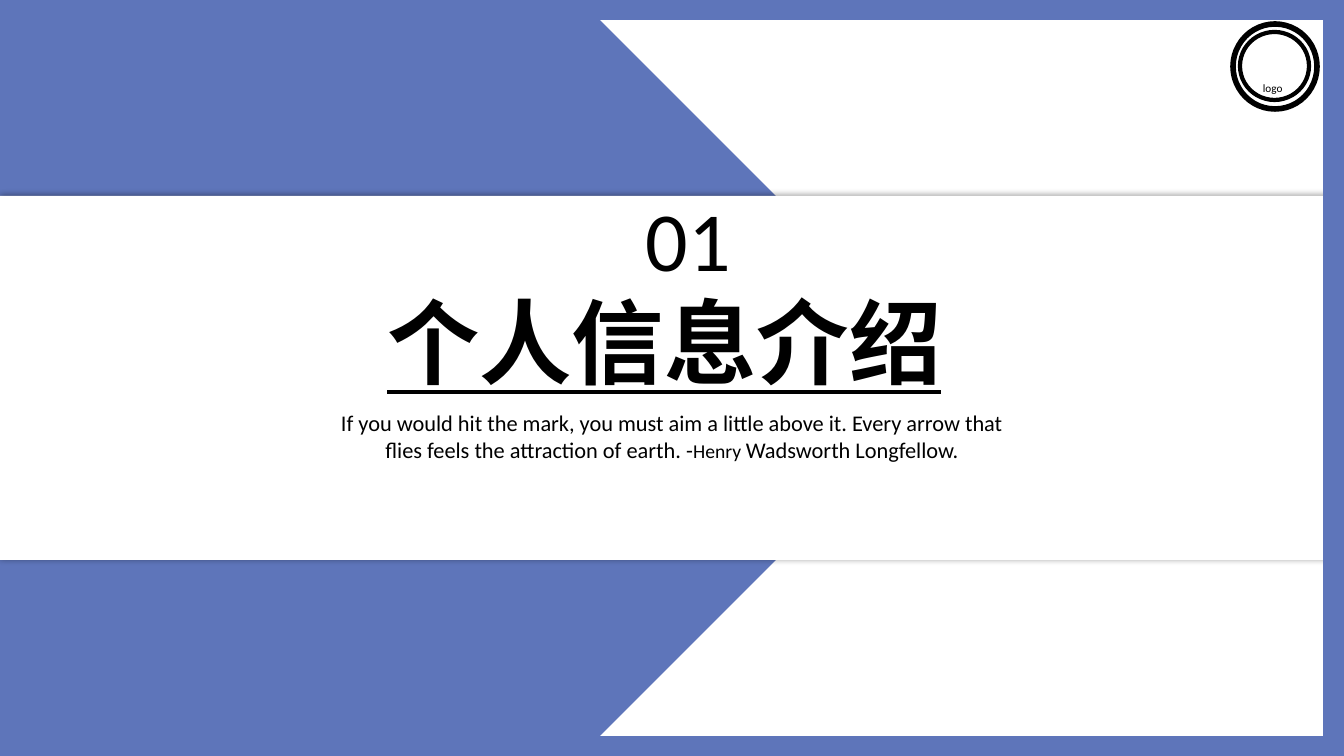
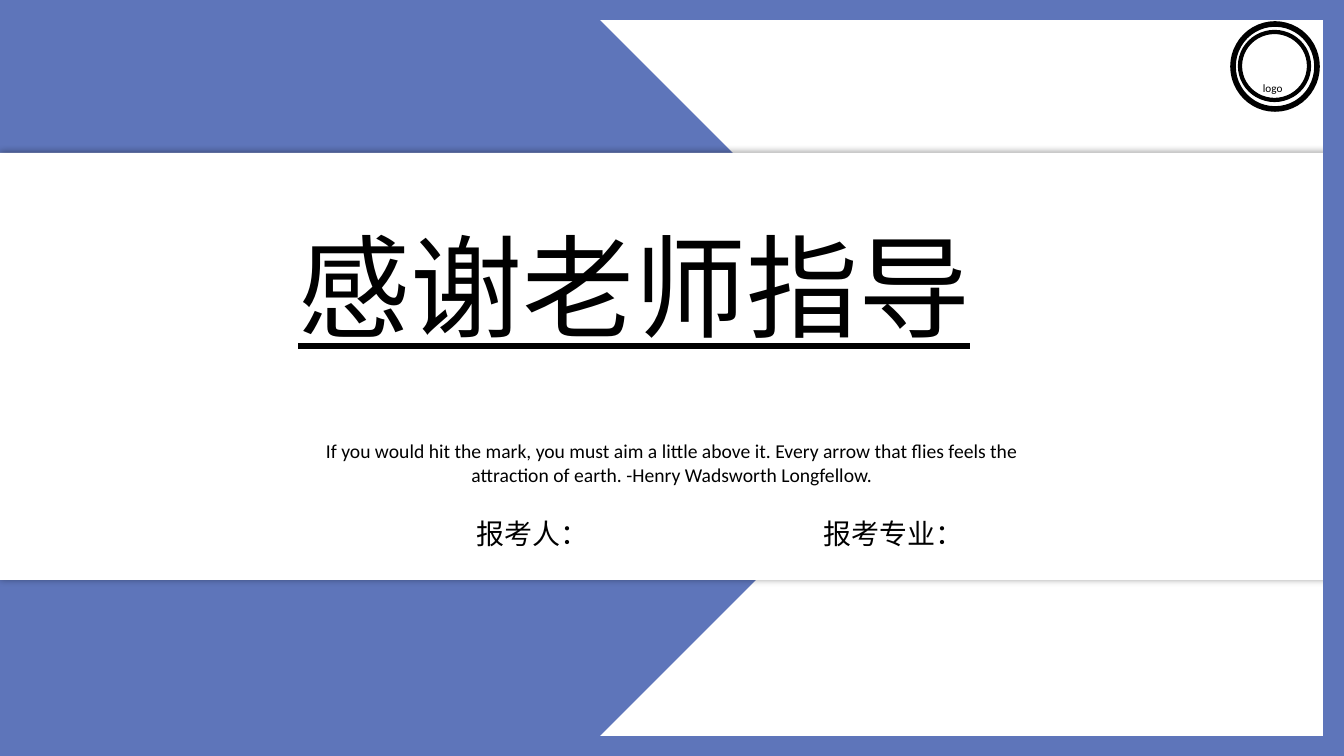
from dataclasses import dataclass

from lxml.etree import SubElement
from pptx import Presentation
from pptx.dml.color import RGBColor
from pptx.enum.shapes import MSO_CONNECTOR, MSO_SHAPE
from pptx.enum.text import MSO_ANCHOR as Anchor, MSO_AUTO_SIZE, PP_ALIGN as Align
from pptx.oxml import parse_xml
from pptx.oxml.ns import nsdecls, qn
from pptx.util import Emu, Pt


@dataclass(frozen=True)
class Theme:
    blue: RGBColor = RGBColor(0x5E, 0x75, 0xBA)
    white: RGBColor = RGBColor(0xFF, 0xFF, 0xFF)
    black: RGBColor = RGBColor(0x00, 0x00, 0x00)
    font: str = "Calibri"
    section_title: int = 66
    closing_title: int = 80
    number: int = 60
    label: int = 20
    quote: int = 16
    small_quote: int = 14
    logo: int = 8
    frame_line: int = 15


THEME = Theme()
WIDTH, HEIGHT = 1344, 756
SCALE = 12192000 / WIDTH  # EMU in one px

# Content: boxes are left, top, width, height in px
QUOTE = "If you would hit the mark, you must aim a little above it. Every arrow that flies feels the attraction of earth. -"
SLIDES = [
    {
        "band": (196, 364),
        "title": {"text": "个人信息介绍", "box": (377, 280, 591, 122), "size": THEME.section_title,
                  "bold": True, "anchor": Anchor.MIDDLE},
        "quote": {"box": (326, 404, 692, 65),
                  "runs": [(QUOTE, THEME.quote), ("Henry ", THEME.small_quote),
                           ("Wadsworth Longfellow.", THEME.quote)]},
        "labels": [("01", (622, 183, 133, 112), THEME.number, Align.CENTER)],
    },
    {
        "band": (153, 427),
        # The tab carries the underline on to its stop
        "title": {"text": "感谢老师指导\t", "box": (288, 212, 780, 146), "size": THEME.closing_title,
                  "bold": False, "anchor": Anchor.TOP, "tab_stop": 748},
        "quote": {"box": (303, 434, 738, 57),
                  "runs": [(QUOTE + "Henry Wadsworth Longfellow.", THEME.small_quote)]},
        "labels": [("报考人：", (371, 512, 228, 44), THEME.label, Align.RIGHT),
                   ("报考专业：", (716, 512, 258, 44), THEME.label, Align.RIGHT)],
    },
]

# Shared decoration
PLATE = (0, 0, 958, HEIGHT)
FRAME_LINES = [(341, 746, WIDTH, 746), (489, 10, WIDTH, 10), (1334, 746, 1334, 19)]
LOGO_RINGS = [((1233, 24, 84, 85), 4), ((1240, 32, 69, 68), 3)]
LOGO_TEXT = ("logo", (1253, 76, 46, 24), THEME.logo, Align.LEFT)


def px(value):
    return Emu(round(value * SCALE))


def place(shape, box):
    shape.left, shape.top, shape.width, shape.height = map(px, box)


def add_filled(slide, kind, box, fill, line_width=None):
    shape = slide.shapes.add_shape(kind, *map(px, box))
    shape.shadow.inherit = False
    shape.fill.solid()
    shape.fill.fore_color.rgb = fill
    if line_width:
        shape.line.color.rgb = THEME.black
        shape.line.width = Pt(line_width)
    else:
        shape.line.fill.background()
    return shape


def write(shape, runs, align, anchor=Anchor.TOP, bold=False, underline=False):
    frame = shape.text_frame
    frame.word_wrap = True
    frame.auto_size = MSO_AUTO_SIZE.NONE
    frame.vertical_anchor = anchor
    paragraph = frame.paragraphs[0]
    paragraph.alignment = align
    paragraph.space_before = Pt(0)
    for text, size in runs:
        run = paragraph.add_run()
        run.text = text
        font = run.font
        font.name, font.size = THEME.font, Pt(size)
        font.bold, font.underline = bold, underline
        font.color.rgb = THEME.black
    return paragraph


def add_label(slide, text, box, size, align):
    write(slide.shapes.add_textbox(*map(px, box)), [(text, size)], align)


def add_band(slide, top, height):
    band = add_filled(slide, MSO_SHAPE.RECTANGLE, (0, top, WIDTH, height), THEME.white)
    band.element.spPr.find(qn("a:effectLst")).append(parse_xml(
        f'<a:outerShdw {nsdecls("a")} blurRad="{Pt(5)}" dist="0" dir="0" algn="ctr" rotWithShape="0">'
        '<a:srgbClr val="000000"><a:alpha val="40000"/></a:srgbClr></a:outerShdw>'))


def add_frame(slide):
    for ends in FRAME_LINES:
        line = slide.shapes.add_connector(MSO_CONNECTOR.STRAIGHT, *map(px, ends))
        line.line.color.rgb = THEME.blue
        line.line.width = Pt(THEME.frame_line)
        SubElement(line.element.spPr, qn("a:effectLst"))


def add_logo_spot(slide):
    for box, line_width in LOGO_RINGS:
        add_filled(slide, MSO_SHAPE.OVAL, box, THEME.white, line_width)
    add_label(slide, *LOGO_TEXT)


def fill_title(title, content):
    place(title, content["box"])
    paragraph = write(title, [(content["text"], content["size"])], Align.LEFT,
                      content["anchor"], content["bold"], underline=True)
    if "tab_stop" in content:
        tabs = SubElement(paragraph._p.get_or_add_pPr(), qn("a:tabLst"))
        SubElement(tabs, qn("a:tab"), pos=str(px(content["tab_stop"])), algn="l")


def fill_quote(quote, content):
    place(quote, content["box"])
    write(quote, content["runs"], Align.CENTER)


def build_slide(presentation, content):
    slide = presentation.slides.add_slide(presentation.slide_layouts[0])
    title, quote = slide.placeholders

    # Background
    add_filled(slide, MSO_SHAPE.PENTAGON, PLATE, THEME.blue)
    add_band(slide, *content["band"])

    # Text, with the placeholders brought in front of the band
    for placeholder in (title, quote):
        placeholder.element.getparent().append(placeholder.element)
    fill_title(title, content["title"])
    fill_quote(quote, content["quote"])
    for label in content["labels"]:
        add_label(slide, *label)

    # Frame and logo spot
    add_frame(slide)
    add_logo_spot(slide)


def main():
    presentation = Presentation()
    presentation.slide_width, presentation.slide_height = px(WIDTH), px(HEIGHT)
    for content in SLIDES:
        build_slide(presentation, content)
    presentation.save("out.pptx")


if __name__ == "__main__":
    main()
